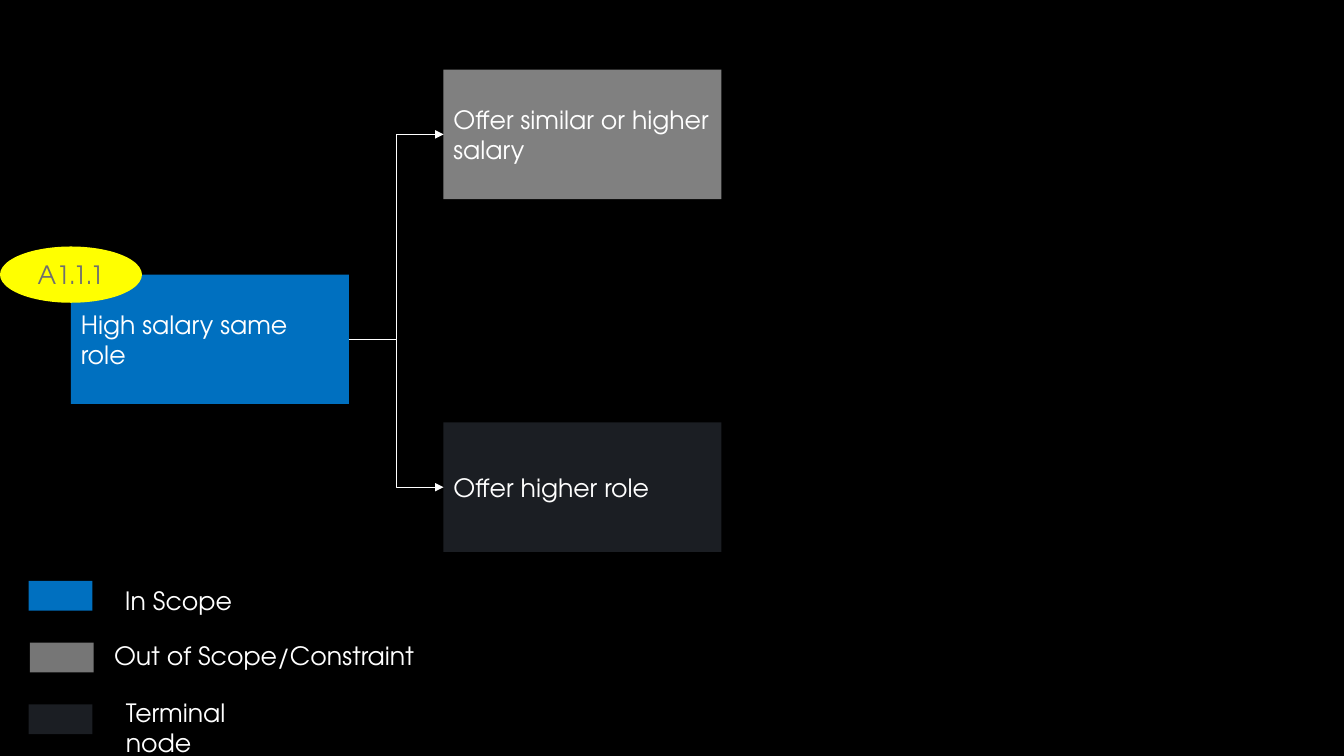
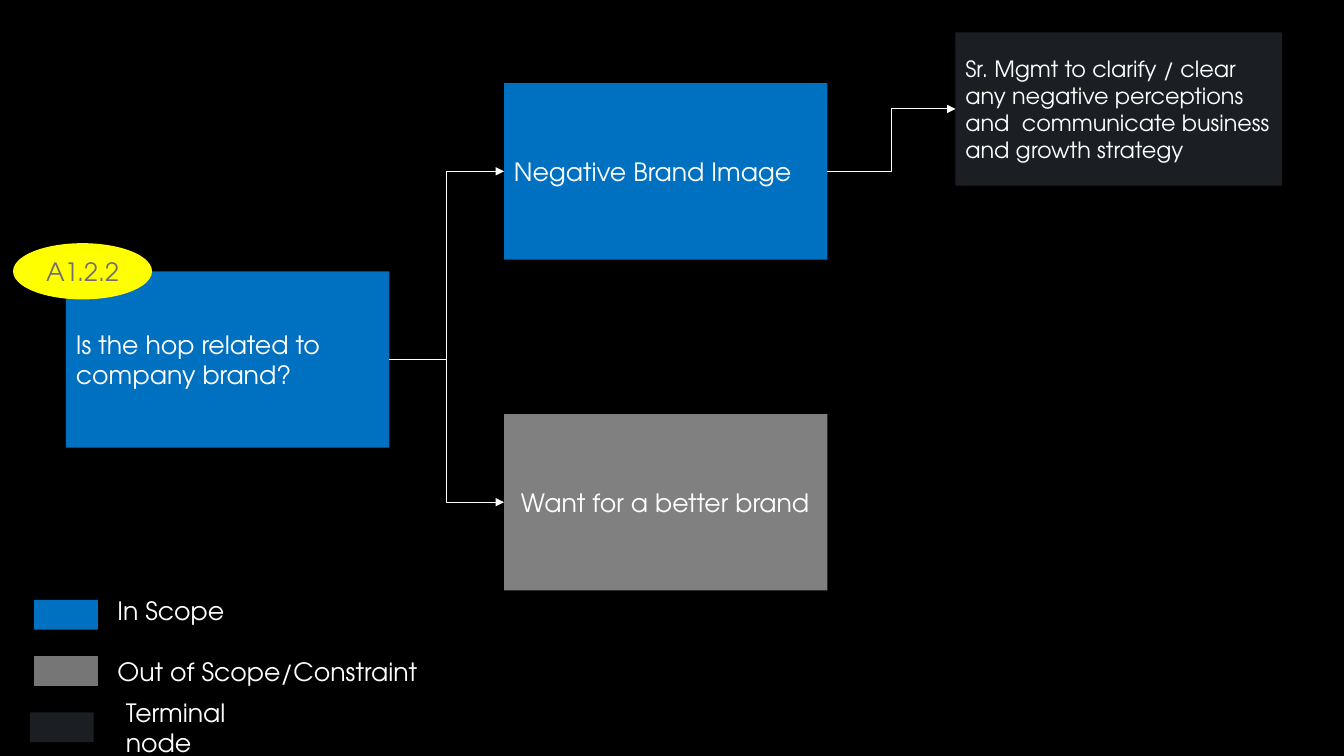
from dataclasses import dataclass

from lxml.etree import SubElement
from pptx import Presentation
from pptx.dml.color import RGBColor
from pptx.enum.shapes import MSO_CONNECTOR as Connector, MSO_SHAPE as Preset
from pptx.enum.text import MSO_ANCHOR as Anchor, MSO_AUTO_SIZE as AutoSize, PP_ALIGN as Align
from pptx.oxml.ns import qn
from pptx.util import Inches, Pt


@dataclass(frozen=True)
class Theme:
    font: str = "TeX Gyre Adventor"
    background: str = "000000"
    text: str = "FFFFFF"
    in_scope: str = "0070C0"
    out_of_scope: str = "808080"
    out_swatch: str = "767676"
    terminal: str = "1B1E23"
    badge: str = "FFFF00"
    badge_text: str = "6F6F6F"
    body_size: int = 18
    small_size: int = 16
    line_width: float = 0.75


theme = Theme()
COLUMNS, ROWS = 160, 90

presentation = Presentation()
presentation.slide_width = Inches(13.333)
presentation.slide_height = Inches(7.5)
column = presentation.slide_width / COLUMNS
row = presentation.slide_height / ROWS
master_fill = presentation.slide_master.background.fill
master_fill.solid()
master_fill.fore_color.rgb = RGBColor.from_string(theme.background)


def write(shape, text, size=theme.body_size, color=theme.text, align=Align.LEFT):
    frame = shape.text_frame
    frame.word_wrap = True
    frame.text = text
    paragraph = frame.paragraphs[0]
    paragraph.alignment = align
    font = paragraph.runs[0].font
    font.name = theme.font
    font.size = Pt(size)
    font.color.rgb = RGBColor.from_string(color)


def add_block(slide, preset, left, top, width, height, color):
    shape = slide.shapes.add_shape(
        preset, int(left * column), int(top * row), int(width * column), int(height * row))
    shape.shadow.inherit = False
    shape.fill.solid()
    shape.fill.fore_color.rgb = RGBColor.from_string(color)
    shape.line.fill.background()
    shape.text_frame.vertical_anchor = Anchor.MIDDLE
    return shape


LEGEND = [
    ("In Scope", theme.in_scope, 4.8),
    ("Out of Scope/Constraint", theme.out_swatch, 4.8),
    ("Terminal node", theme.terminal, 8.5),
]
SWATCH_WIDTH, SWATCH_HEIGHT = 7.6, 3.55
BADGE_HEIGHT = 6.7

trees = [
    {
        "badge": ("A1.1.1", 0, 16.9),
        "nodes": [
            ("High salary same role", theme.in_scope, 8.45, 32.7, 33.1, 15.4, theme.body_size),
            ("Offer similar or higher salary", theme.out_of_scope, 52.8, 8.3, 33.1, 15.4, theme.body_size),
            ("Offer higher role", theme.terminal, 52.8, 50.3, 33.1, 15.4, theme.body_size),
        ],
        "links": [(0, 1), (0, 2)],
        "legend_top": 69.15,
        "legend_pitch": 7.35,
        "swatch_lefts": [3.4, 3.55, 3.4],
        "labels": [(13.7, 69.1, 20.2), (12.4, 75.6, 51.8), (13.8, 82.4, 20.2)],
    },
    {
        "badge": ("A1.2.2", 1.55, 16.55),
        "nodes": [
            ("Is the hop related to company brand?", theme.in_scope, 7.85, 32.3, 38.5, 21, theme.body_size),
            ("Negative Brand Image", theme.in_scope, 60, 9.9, 38.5, 21, theme.body_size),
            (" Want for a better brand", theme.out_of_scope, 60, 49.3, 38.5, 21, theme.body_size),
            ("Sr. Mgmt to clarify / clear any negative perceptions and  communicate business and growth strategy",
             theme.terminal, 113.75, 3.85, 38.9, 18.25, theme.small_size),
        ],
        "links": [(0, 1), (0, 2), (1, 3)],
        "legend_top": 71.4,
        "legend_pitch": 6.7,
        "swatch_lefts": [4.05, 4.05, 3.55],
        "labels": [(12.8, 70.3, 20.2), (12.8, 77.6, 45), (13.8, 82.4, 20.2)],
    },
]

for tree in trees:
    slide = presentation.slides.add_slide(presentation.slide_layouts[6])

    nodes = []
    for text, color, left, top, width, height, size in tree["nodes"]:
        node = add_block(slide, Preset.RECTANGLE, left, top, width, height, color)
        write(node, text, size)
        nodes.append(node)

    badge_text, badge_left, badge_width = tree["badge"]
    badge_top = tree["nodes"][0][3] - BADGE_HEIGHT / 2
    badge = add_block(slide, Preset.OVAL, badge_left, badge_top, badge_width, BADGE_HEIGHT, theme.badge)
    write(badge, badge_text, color=theme.badge_text, align=Align.CENTER)

    for source, target in tree["links"]:
        link = slide.shapes.add_connector(Connector.ELBOW, 0, 0, 0, 0)
        link.begin_connect(nodes[source], 3)
        link.end_connect(nodes[target], 1)
        link.line.color.rgb = RGBColor.from_string(theme.text)
        link.line.width = Pt(theme.line_width)
        SubElement(link.line._get_or_add_ln(), qn("a:tailEnd"), type="triangle")
        SubElement(link._element.spPr, qn("a:effectLst"))

    for index, (text, color, height) in enumerate(LEGEND):
        swatch_top = tree["legend_top"] + index * tree["legend_pitch"]
        add_block(slide, Preset.RECTANGLE, tree["swatch_lefts"][index], swatch_top,
                  SWATCH_WIDTH, SWATCH_HEIGHT, color)
        left, top, width = tree["labels"][index]
        label = slide.shapes.add_textbox(
            int(left * column), int(top * row), int(width * column), int(height * row))
        write(label, text)
        label.text_frame.auto_size = AutoSize.SHAPE_TO_FIT_TEXT

presentation.save("out.pptx")
